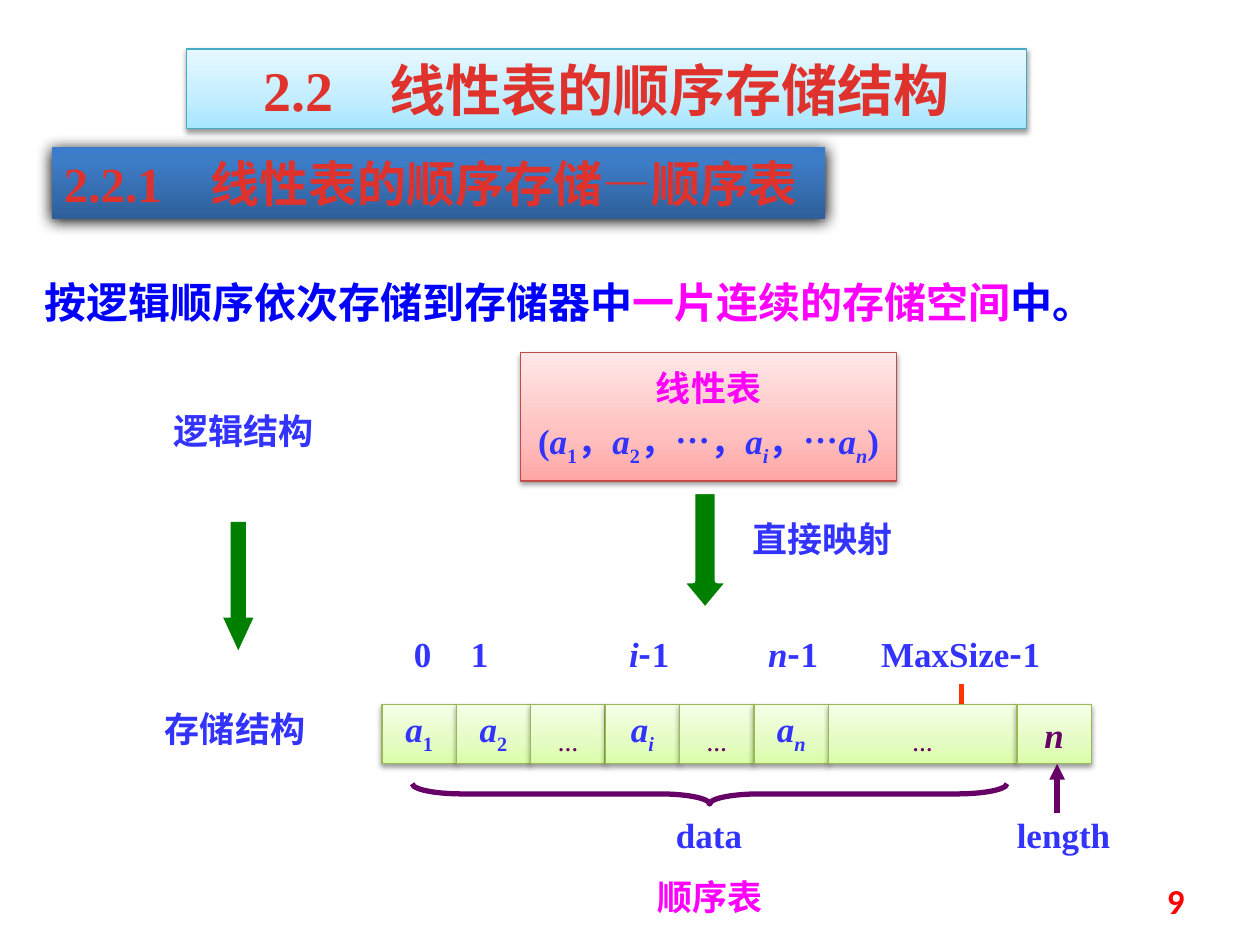
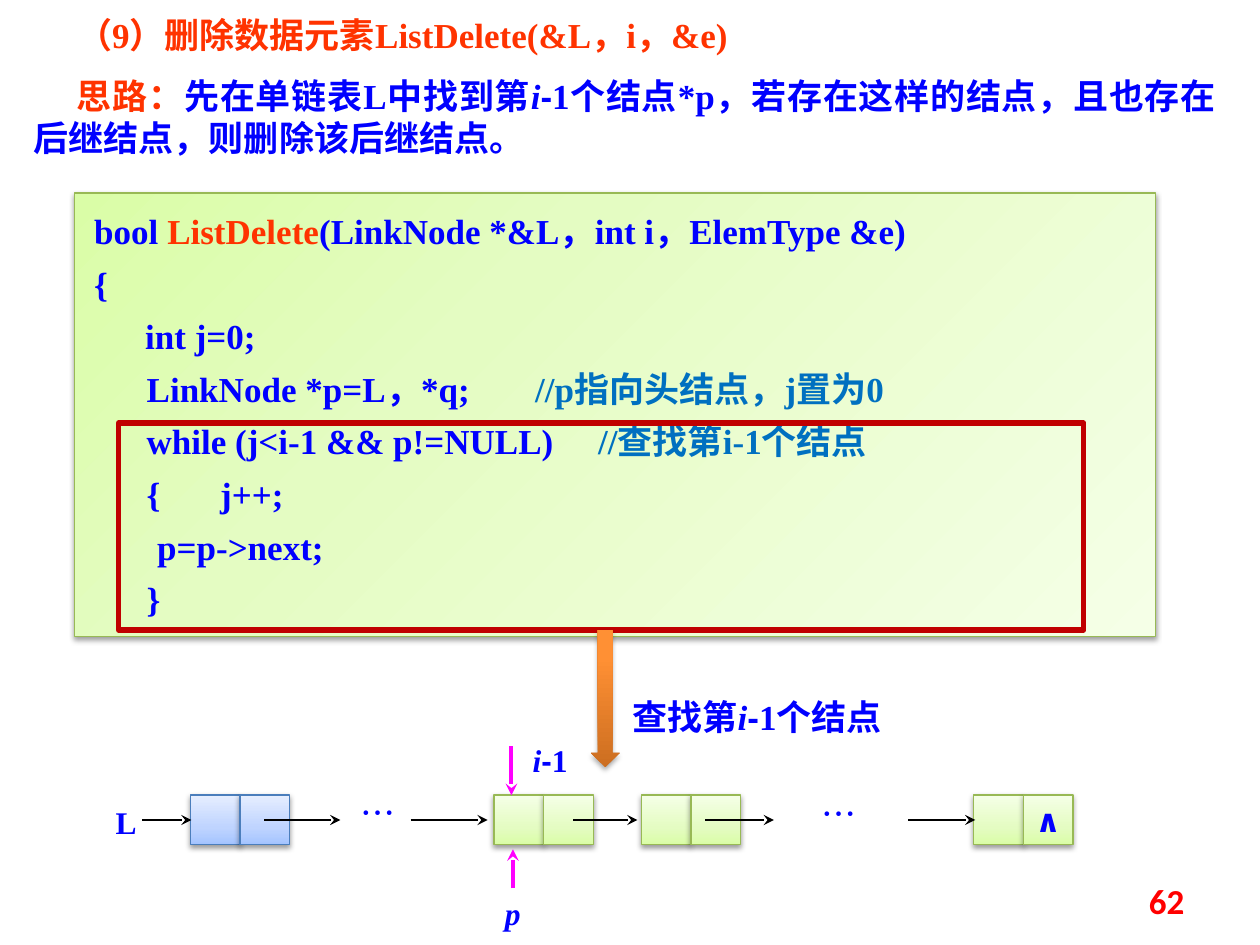
"""Build two lecture slides on sequential lists and linked-list deletion."""
from dataclasses import dataclass
from typing import NamedTuple

from pptx import Presentation
from pptx.dml.color import RGBColor
from pptx.enum.shapes import MSO_CONNECTOR, MSO_SHAPE as Kind
from pptx.enum.text import MSO_ANCHOR, MSO_AUTO_SIZE, PP_ALIGN as Align
from pptx.oxml import parse_xml
from pptx.oxml.ns import nsdecls, qn
from pptx.util import Cm, Pt


class Skin(NamedTuple):
    stops: tuple
    edge: str | None = None
    angle: int = 270
    shadow: tuple = (38, 3.1, 1.6)


GREEN_STOPS = ((0, "DAFDA7"), (35, "E4FCC2"), (100, "F5FFE7"))


@dataclass(frozen=True)
class Theme:
    serif: str = "Times New Roman"
    sans: str = "Arial"
    chinese: str = "Noto Sans CJK SC"
    symbol: str = "DejaVu Sans"
    number: str = "Calibri"
    title_size: int = 32
    banner_size: int = 28
    lead_size: int = 24
    body_size: int = 20
    small_size: int = 18
    heading: str = "E0322D"
    blue: str = "0000FF"
    label: str = "3333FF"
    pink: str = "FF00FF"
    purple: str = "660066"
    orange: str = "FF3300"
    comment: str = "0070C0"
    arrow: str = "008000"
    frame: str = "C00000"
    red: str = "FF0000"
    black: str = "000000"
    white: str = "FFFFFF"
    cyan_skin: Skin = Skin(((0, "A7E6FF"), (35, "C1EDFF"), (100, "E7F8FF")), "46AAC5")
    navy_skin: Skin = Skin(((0, "2F5F99"), (80, "3D7CC7"), (100, "3A7CCB")), shadow=(100, 8.5, 1))
    rose_skin: Skin = Skin(((0, "FFA6A5"), (35, "FFC0BF"), (100, "FFE7E7")), "BF4C48")
    green_skin: Skin = Skin(GREEN_STOPS, "98B955")
    code_skin: Skin = Skin(GREEN_STOPS, "98B955", 45)
    blue_skin: Skin = Skin(((0, "A4C4FF"), (35, "BFD4FF"), (100, "E6EEFF")), "4B7EBC")
    amber_skin: Skin = Skin(((0, "CC6E20"), (80, "FF9034"), (100, "FF9136")), shadow=(35, 3.1, 1.8))


theme = Theme()


class Bit(NamedTuple):
    text: str
    color: str = theme.label
    marks: str = ""
    font: str = theme.serif


def box(page, bounds, lines=(), skin=None, kind=None, size=theme.body_size,
        align=Align.CENTER, gap=None, indent=0):
    frame = [Cm(value) for value in bounds]
    if kind == "title":
        shape = page.shapes.title
        shape.left, shape.top, shape.width, shape.height = frame
    elif kind is None:
        shape = page.shapes.add_textbox(*frame)
    else:
        shape = page.shapes.add_shape(kind, *frame)
    shape.shadow.inherit = False
    shape.fill.background()
    shape.line.fill.background()
    if skin:
        props = shape.element.spPr
        shape.fill.gradient()
        stops = "".join(f'<a:gs pos="{place * 1000}"><a:srgbClr val="{color}"/></a:gs>'
                        for place, color in skin.stops)
        props.replace(props.find(qn("a:gradFill")), parse_xml(
            f'<a:gradFill {nsdecls("a")} rotWithShape="1"><a:gsLst>{stops}</a:gsLst>'
            f'<a:lin ang="{skin.angle * 60000}" scaled="0"/></a:gradFill>'))
        alpha, blur, distance = skin.shadow
        props.find(qn("a:effectLst")).append(parse_xml(
            f'<a:outerShdw {nsdecls("a")} blurRad="{Pt(blur)}" dist="{Pt(distance)}" '
            f'dir="5400000" rotWithShape="0"><a:srgbClr val="{theme.black}">'
            f'<a:alpha val="{alpha * 1000}"/></a:srgbClr></a:outerShdw>'))
        if skin.edge:
            shape.line.color.rgb = RGBColor.from_string(skin.edge)
            shape.line.width = Pt(0.75)
    text = shape.text_frame
    text.auto_size = MSO_AUTO_SIZE.NONE
    text.word_wrap = skin is None or align == Align.LEFT
    text.vertical_anchor = MSO_ANCHOR.MIDDLE
    for index, bits in enumerate(lines):
        para = text.add_paragraph() if index else text.paragraphs[0]
        para.alignment = align
        para.line_spacing = Pt(size * 1.2)
        para.space_before = Pt((size / 2 if gap is None else gap) if index else 0)
        if indent:
            para._p.get_or_add_pPr().set("indent", str(Cm(indent)))
        for bit in bits:
            span = para.add_run()
            span.text = bit.text
            font = span.font
            font.name, font.size, font.bold = bit.font, Pt(size), "r" not in bit.marks
            font.italic = "i" in bit.marks
            font.color.rgb = RGBColor.from_string(bit.color)
            props = span._r.get_or_add_rPr()
            if "s" in bit.marks:
                props.set("baseline", "-25000")
            east = bit.font if bit.text in "…∧" else theme.chinese
            props.append(parse_xml(f'<a:ea {nsdecls("a")} typeface="{east}"/>'))
    return shape


def link(page, start, end, color=theme.black, width=0.75, tip="stealth"):
    line = page.shapes.add_connector(MSO_CONNECTOR.STRAIGHT, *[Cm(v) for v in (*start, *end)])
    line.line.color.rgb = RGBColor.from_string(color)
    line.line.width = Pt(width)
    if tip:
        line.line._get_or_add_ln().append(parse_xml(f'<a:tailEnd {nsdecls("a")} type="{tip}"/>'))
    line.element.spPr.append(parse_xml(f'<a:effectLst {nsdecls("a")}/>'))


deck = Presentation()
deck.slide_width, deck.slide_height = Cm(25.4), Cm(19.05)
title_only = deck.slide_layouts[5]

page = deck.slides.add_slide(title_only)
box(page, (3.76, 0.99, 16.94, 1.6), [[Bit("2.2　线性表的顺序存储结构", theme.heading)]],
    theme.cyan_skin, "title", theme.title_size)
box(page, (1.04, 2.97, 15.6, 1.45), [[Bit("2.2.1　线性表的顺序存储—顺序表", theme.heading)]],
    theme.navy_skin, Kind.RECTANGLE, theme.banner_size, Align.LEFT)
box(page, (0.64, 5.18, 22.63, 1.8),
    [[Bit("按逻辑顺序依次存储到存储器中", theme.blue), Bit("一片连续的存储空间", theme.pink),
      Bit("中。", theme.blue)]], size=theme.lead_size, align=Align.LEFT)

box(page, (10.49, 7.11, 7.59, 2.59),
    [[Bit("线性表", theme.pink)],
     [Bit("("), Bit("a", marks="i"), Bit("1", marks="s"), Bit("，"),
      Bit("a", marks="i"), Bit("2", marks="s"), Bit("，…，"),
      Bit("a", marks="i"), Bit("i", marks="is"), Bit("，…"),
      Bit("a", marks="i"), Bit("n", marks="is"), Bit(")")]],
    theme.rose_skin, Kind.RECTANGLE)

for bounds, head in (((13.72, 9.91, 0.99, 2.39), 0.6), ((4.5, 10.52, 0.61, 2.59), 1.08)):
    arrow = box(page, bounds, kind=Kind.DOWN_ARROW)
    arrow.adjustments[1] = head
    arrow.fill.solid()
    arrow.fill.fore_color.rgb = RGBColor.from_string(theme.arrow)
    if head < 1:
        arrow.line.color.rgb = RGBColor.from_string(theme.white)
        arrow.line.width = Pt(3)

link(page, (19.38, 13.79), (19.38, 14.2), theme.orange, 3, None)
dots = [Bit("…", theme.purple, "s")]
cells = [[Bit("a", marks="i"), Bit("1", marks="s")],
         [Bit("a", marks="i"), Bit("2", marks="s")], dots,
         [Bit("a", marks="i"), Bit("i", marks="is")], dots,
         [Bit("a", marks="i"), Bit("n", marks="is")], dots,
         [Bit("n", theme.purple, "i")]]
left = 7.7
for index, bits in enumerate(cells):
    width = 3.8 if index == 6 else 1.5
    box(page, (left, 14.2, width, 1.2), [bits], theme.green_skin, Kind.RECTANGLE)
    left += width

minus = Bit("-", font=theme.chinese)
for left, width, bits in (
        (7.82, 1.4, [Bit("0")]), (8.97, 1.4, [Bit("1")]),
        (12.29, 1.6, [Bit("i", marks="i"), minus, Bit("1")]),
        (15.09, 1.8, [Bit("n", marks="i"), minus, Bit("1")]),
        (17.27, 4.19, [Bit("MaxSize"), minus, Bit("1")])):
    box(page, (left, 12.62, width, 1.1), [bits])

brace = box(page, (14.1, 10.01, 0.41, 11.99), kind=Kind.RIGHT_BRACE)
brace.rotation = 90
brace.adjustments[0] = 2.49
brace.line.color.rgb = RGBColor.from_string(theme.purple)
brace.line.width = Pt(3)
link(page, (21.31, 16.4), (21.31, 15.4), theme.purple, 3, "triangle")

for left, top, width, text, color in (
        (14.68, 10.31, 3.81, "直接映射", theme.label),
        (12.9, 16.28, 2.79, "data", theme.label),
        (19.84, 16.28, 3.2, "length", theme.label),
        (11.91, 17.53, 4.8, "顺序表", theme.pink),
        (2.51, 8.13, 4.8, "逻辑结构", theme.label),
        (2.34, 14.13, 4.8, "存储结构", theme.label)):
    box(page, (left, top, width, 1.1), [[Bit(text, color)]])

page = deck.slides.add_slide(title_only)
box(page, (0.43, 0.13, 24.33, 1.15),
    [[Bit("（9）删除数据元素ListDelete(&L，i，&e)", theme.orange)]],
    kind="title", align=Align.LEFT, indent=0.87)
box(page, (0.43, 1.37, 24.33, 1.95),
    [[Bit("思路：", theme.orange), Bit("先在单链表L中找到第", theme.blue),
      Bit("i", theme.blue, "i"), Bit("-", theme.blue, font=theme.sans),
      Bit("1个结点*p，若存在这样的结点，且也存在后继结点，则删除该后继结点。", theme.blue)]],
    align=Align.JUSTIFY, indent=0.87)

code = box(page, (1.5, 3.89, 21.79, 8.94),
           [[Bit("bool ", theme.blue), Bit("ListDelete", theme.orange),
             Bit("(LinkNode *&L，int i，ElemType &e)", theme.blue)],
            [Bit("{", theme.blue)],
            [Bit(" 　 int j=0;", theme.blue)],
            [Bit("      LinkNode *p=L，*q;\t\t", theme.blue),
             Bit("//p指向头结点，j置为0", theme.comment)],
            [Bit("      while (j<i-1 && p!=NULL)\t", theme.blue),
             Bit("//查找第i-1个结点", theme.comment)],
            [Bit("      {\tj++;", theme.blue)],
            [Bit("\tp=p->next;", theme.blue)],
            [Bit("      }", theme.blue)]],
           theme.code_skin, Kind.RECTANGLE, align=Align.LEFT, gap=6)
code.text_frame.margin_left = code.text_frame.margin_right = Cm(0.4)
loop_frame = box(page, (2.39, 8.53, 19.46, 4.17), kind=Kind.RECTANGLE)
loop_frame.line.color.rgb = RGBColor.from_string(theme.frame)
loop_frame.line.width = Pt(3)
box(page, (11.91, 12.7, 0.58, 2.77), skin=theme.amber_skin, kind=Kind.DOWN_ARROW)

side, node_top = 1, 16.03
for left, skin, mark in ((3.84, theme.blue_skin, None), (9.96, theme.green_skin, None),
                         (12.93, theme.green_skin, None), (19.63, theme.green_skin, "∧")):
    box(page, (left, node_top, side, side), skin=skin, kind=Kind.RECTANGLE)
    lines = [[Bit(mark, theme.blue, font=theme.symbol)]] if mark else []
    box(page, (left + side, node_top, side, side), lines, skin, Kind.RECTANGLE, theme.small_size)

middle = node_top + side / 2
for start, end in ((2.87, 3.86), (5.33, 6.86), (8.28, 9.83), (11.56, 12.85),
                   (14.22, 15.6), (18.31, 19.66)):
    link(page, (start, middle), (end, middle))
link(page, (10.31, 15.04), (10.31, 16.03), theme.pink, 2.25)
link(page, (10.34, 17.91), (10.34, 17.12), theme.pink, 2.25)

index_bits = [Bit("i", theme.blue, "i"), Bit("-", theme.blue, font=theme.sans)]
ellipsis = [Bit("…", theme.blue, "r", theme.chinese)]
for bounds, bits, size in (
        ((12.5, 13.89, 7.14, 1.12),
         [Bit("查找第", theme.blue), *index_bits, Bit("1个结点", theme.blue)], theme.body_size),
        ((10.49, 14.8, 1.63, 1.02), [*index_bits, Bit("1", theme.blue)], theme.small_size),
        ((2.08, 16.05, 0.9, 1.02), [Bit("L", theme.blue)], theme.small_size),
        ((9.93, 17.9, 0.99, 1.02), [Bit("p", theme.blue, "i")], theme.small_size),
        ((7.01, 15.75, 2.01, 1.27), ellipsis, theme.body_size),
        ((16.31, 15.77, 2.01, 1.27), ellipsis, theme.body_size)):
    box(page, bounds, [bits], size=size, align=Align.LEFT)

for page, number in zip(deck.slides, ("9", "62")):
    box(page, (18.21, 17.65, 5.92, 1.02), [[Bit(number, theme.red, font=theme.number)]],
        align=Align.RIGHT)

deck.save("out.pptx")
